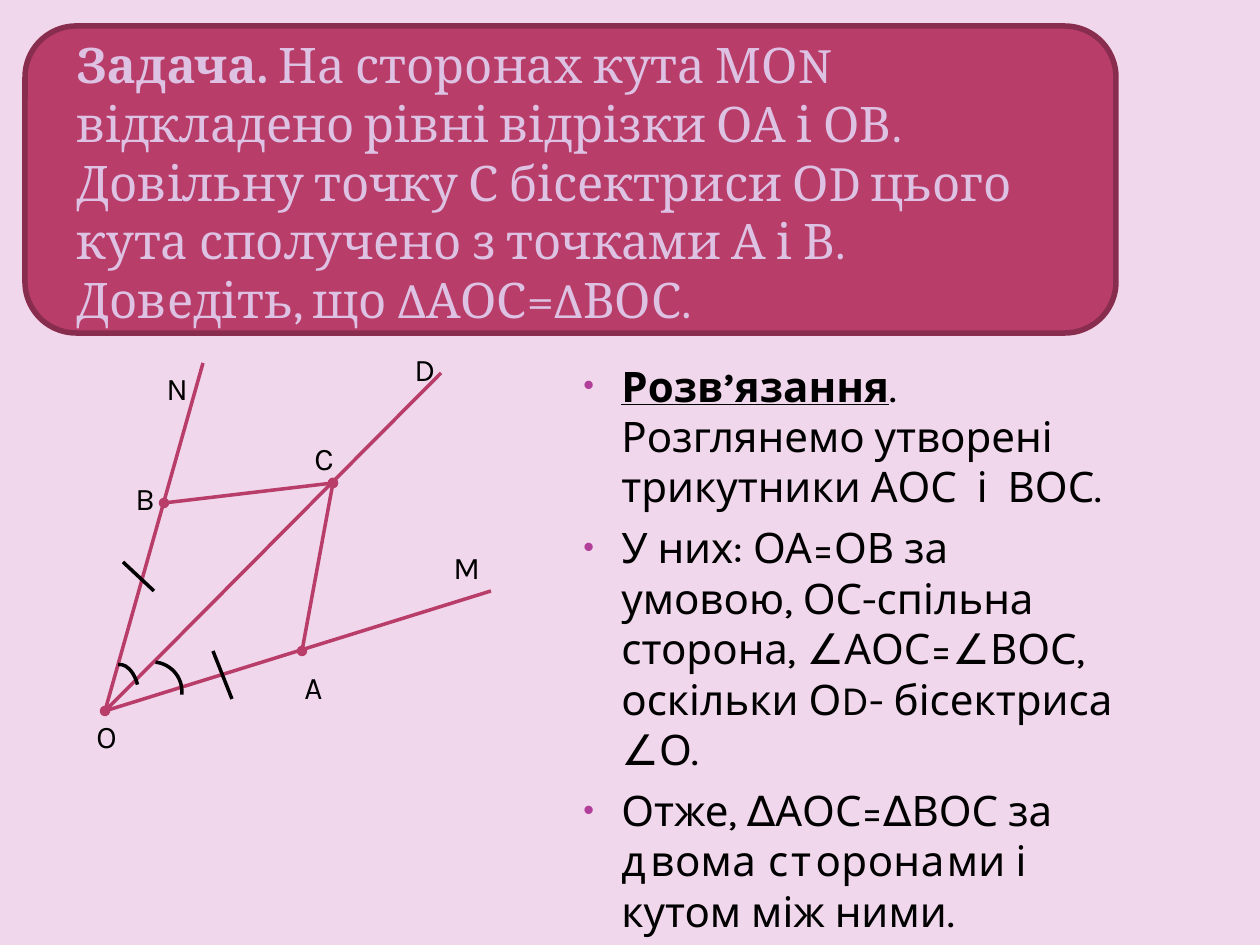
from typing import NamedTuple

from lxml.etree import SubElement
from pptx import Presentation
from pptx.dml.color import RGBColor
from pptx.enum.shapes import MSO_CONNECTOR as Connector, MSO_SHAPE as Shape
from pptx.enum.text import MSO_ANCHOR as Anchor, MSO_AUTO_SIZE as AutoSize
from pptx.oxml.ns import qn
from pptx.util import Emu, Pt

EMU_PER_PX = 914400 / 126
COLORS = {
    "background": "F1D7EC",
    "rose": "B83D68",
    "rose_dark": "882D4D",
    "title": "DEC2E4",
    "bullet": "B13F9A",
    "black": "000000",
}
BODY_FONT = "Karla"
TITLE_FONT = "Cambria"
SYMBOL_FONT = "DejaVu Sans"  # has the angle sign, which the body font lacks
ANGLE = "∠"
BULLET_INDENT = 38


class Point(NamedTuple):
    x: int
    y: int


class Box(NamedTuple):
    left: int
    top: int
    width: int
    height: int


class Segment(NamedTuple):
    start: Point
    end: Point
    color: str = "rose"
    head: bool = False
    tail: bool = False


class Label(NamedTuple):
    text: str
    left: int
    top: int
    width: int


class AngleArc(NamedTuple):
    box: Box
    rotation: int


class Style(NamedTuple):
    font: str
    size: float
    color: str


LABEL_STYLE = Style(BODY_FONT, 18, "black")
BODY_STYLE = Style(BODY_FONT, 24, "black")
TITLE_STYLE = Style(TITLE_FONT, 28, "title")

# Geometry of the angle MON
O, A, B, C = Point(105, 711), Point(302, 651), Point(164, 503), Point(333, 483)
D, M, N = Point(441, 373), Point(491, 591), Point(203, 363)

SEGMENTS = [
    Segment(O, D, head=True),
    Segment(O, M),
    Segment(O, N),
    Segment(A, C, head=True, tail=True),
    Segment(B, C, head=True, tail=True),
    # Marks of the equal segments
    Segment(Point(154, 591), Point(123, 562), "black"),
    Segment(Point(213, 651), Point(232, 699), "black"),
]
LABELS = [
    Label("O", 84, 711, 59),
    Label("B", 123, 473, 49),
    Label("A", 292, 662, 49),
    Label("C", 302, 433, 39),
    Label("D", 402, 344, 49),
    Label("M", 441, 542, 69),
    Label("N", 154, 363, 69),
]
ARCS = [
    AngleArc(Box(123, 662, 59, 59), 6),
    AngleArc(Box(110, 664, 28, 48), 346),
]

TITLE = [
    "Задача.",
    " На сторонах кута МОN відкладено рівні відрізки ОА і ОВ. Довільну точку С "
    "бісектриси ОD цього кута сполучено з точками А і В. Доведіть, що ∆АОС=∆ВОС.",
]
SOLUTION = [
    ["Розв’язання", ". Розглянемо утворені трикутники АОС  і  ВОС."],
    ["У них: ОА=ОВ за умовою, ОС-спільна сторона, ", ANGLE, "АОС=", ANGLE,
     "ВОС, оскільки ОD- бісектриса ", ANGLE, "О."],
    ["Отже, ∆АОС=∆ВОС за двома сторонами і кутом між ними."],
]


def px(value: int) -> Emu:
    return Emu(round(value * EMU_PER_PX))


def rgb(name: str) -> RGBColor:
    return RGBColor.from_string(COLORS[name])


def place(box: Box) -> list[Emu]:
    return [px(value) for value in box]


def set_line(line, color: str, width: float) -> None:
    line.color.rgb = rgb(color)
    line.width = Pt(width)


def add_text_box(slide, box: Box):
    text_frame = slide.shapes.add_textbox(*place(box)).text_frame
    text_frame.word_wrap = True
    return text_frame


def write(paragraph, parts: list[str], style: Style) -> None:
    paragraph.text = parts[0]
    for part in parts[1:]:
        paragraph.add_run().text = part
    for run in paragraph.runs:
        run.font.size = Pt(style.size)
        run.font.color.rgb = rgb(style.color)
        run.font.name = style.font
        if run.text == ANGLE:
            run.font.name = SYMBOL_FONT
            # The sign may be classed as any script, so name the font for each
            for tag in ("a:ea", "a:cs", "a:sym"):
                element = SubElement(run._r.rPr, qn(tag), typeface=SYMBOL_FONT)
                if tag == "a:sym":
                    run._r.rPr.find(qn("a:cs")).addnext(element)


def add_bullet(paragraph) -> None:
    properties = paragraph._p.get_or_add_pPr()
    properties.set("marL", str(px(BULLET_INDENT)))
    properties.set("indent", str(-px(BULLET_INDENT)))
    color = SubElement(properties, qn("a:buClr"))
    SubElement(color, qn("a:srgbClr"), val=COLORS["bullet"])
    SubElement(properties, qn("a:buSzPct"), val="73000")
    SubElement(properties, qn("a:buFont"), typeface="Arial")
    SubElement(properties, qn("a:buChar"), char="•")


def add_segment(slide, segment: Segment) -> None:
    connector = slide.shapes.add_connector(
        Connector.STRAIGHT, *map(px, segment.start), *map(px, segment.end))
    set_line(connector.line, segment.color, 2)
    line = connector.line._get_or_add_ln()
    for tag, shown in (("a:headEnd", segment.head), ("a:tailEnd", segment.tail)):
        if shown:
            SubElement(line, qn(tag), type="oval")
    SubElement(connector._element.spPr, qn("a:effectLst"))


def add_label(slide, label: Label) -> None:
    text_frame = add_text_box(slide, Box(label.left, label.top, label.width, 50))
    text_frame.auto_size = AutoSize.SHAPE_TO_FIT_TEXT
    write(text_frame.paragraphs[0], [label.text], LABEL_STYLE)


def add_arc(slide, arc: AngleArc) -> None:
    shape = slide.shapes.add_shape(Shape.ARC, *place(arc.box))
    shape.rotation = arc.rotation
    shape.shadow.inherit = False
    shape.fill.background()
    set_line(shape.line, "black", 2)


def add_panel(slide, box: Box) -> None:
    panel = slide.shapes.add_shape(Shape.ROUNDED_RECTANGLE, *place(box))
    panel.shadow.inherit = False
    panel.fill.solid()
    panel.fill.fore_color.rgb = rgb("rose")
    set_line(panel.line, "rose_dark", 3.15)


def add_solution(slide, box: Box) -> None:
    text_frame = add_text_box(slide, box)
    for index, parts in enumerate(SOLUTION):
        paragraph = text_frame.add_paragraph() if index else text_frame.paragraphs[0]
        write(paragraph, parts, BODY_STYLE)
        paragraph.space_before = Pt(6)
        add_bullet(paragraph)
    heading = text_frame.paragraphs[0].runs[0].font
    heading.bold = heading.underline = True


def add_title(slide, box: Box) -> None:
    text_frame = add_text_box(slide, box)
    text_frame.vertical_anchor = Anchor.MIDDLE
    text_frame.auto_size = AutoSize.SHAPE_TO_FIT_TEXT
    write(text_frame.paragraphs[0], TITLE, TITLE_STYLE)
    text_frame.paragraphs[0].runs[0].font.bold = True


def main() -> None:
    presentation = Presentation()
    presentation.slide_width, presentation.slide_height = px(1260), px(945)
    slide = presentation.slides.add_slide(presentation.slide_layouts[6])
    slide.background.fill.solid()
    slide.background.fill.fore_color.rgb = rgb("background")

    # Problem panel and solution
    add_panel(slide, Box(25, 26, 1091, 307))
    add_solution(slide, Box(571, 354, 556, 556))

    # Drawing of the angle, then the statement over the panel
    for segment in SEGMENTS:
        add_segment(slide, segment)
    for label in LABELS:
        add_label(slide, label)
    for arc in ARCS:
        add_arc(slide, arc)
    add_title(slide, Box(64, 56, 1027, 251))
    presentation.save("out.pptx")


if __name__ == "__main__":
    main()
